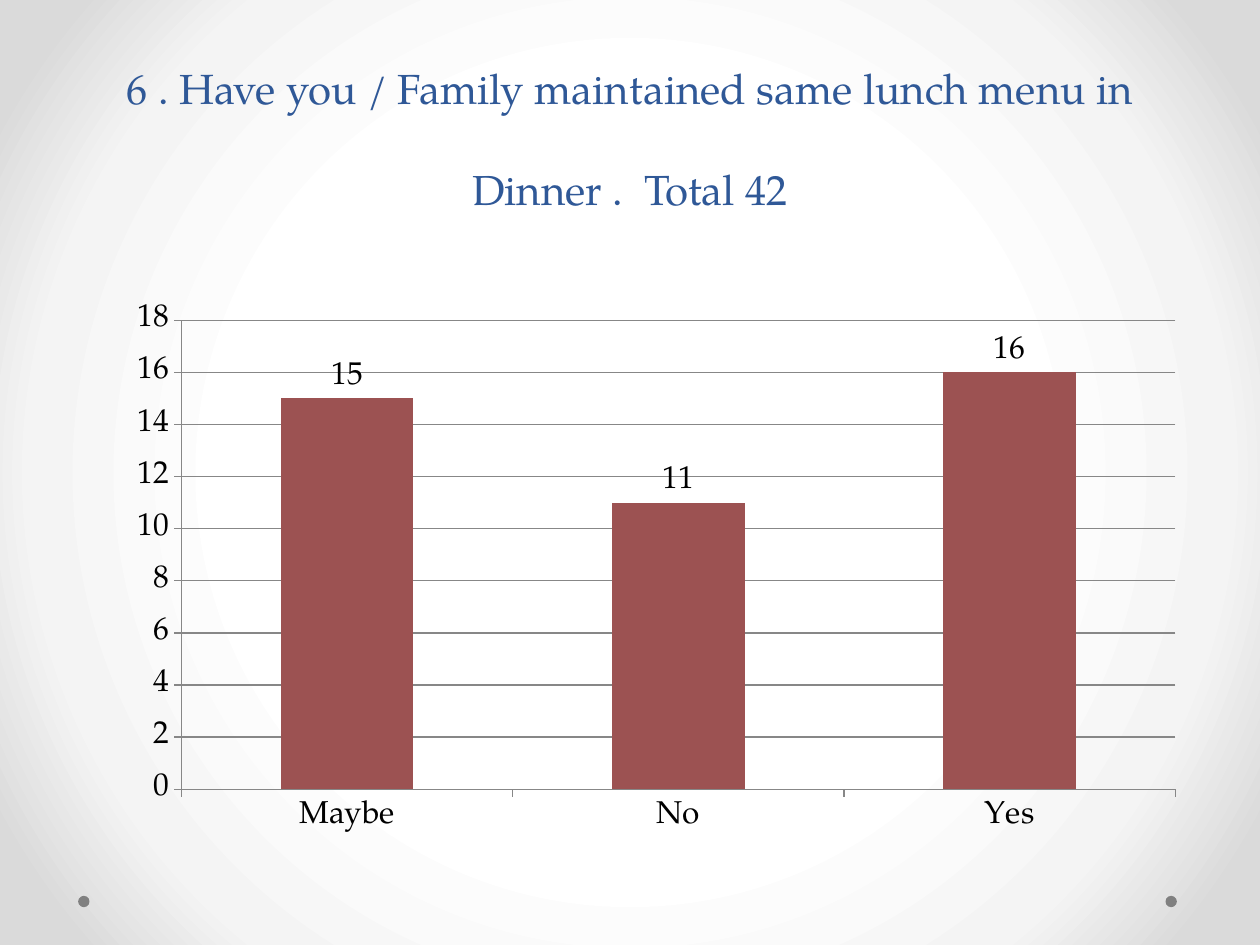
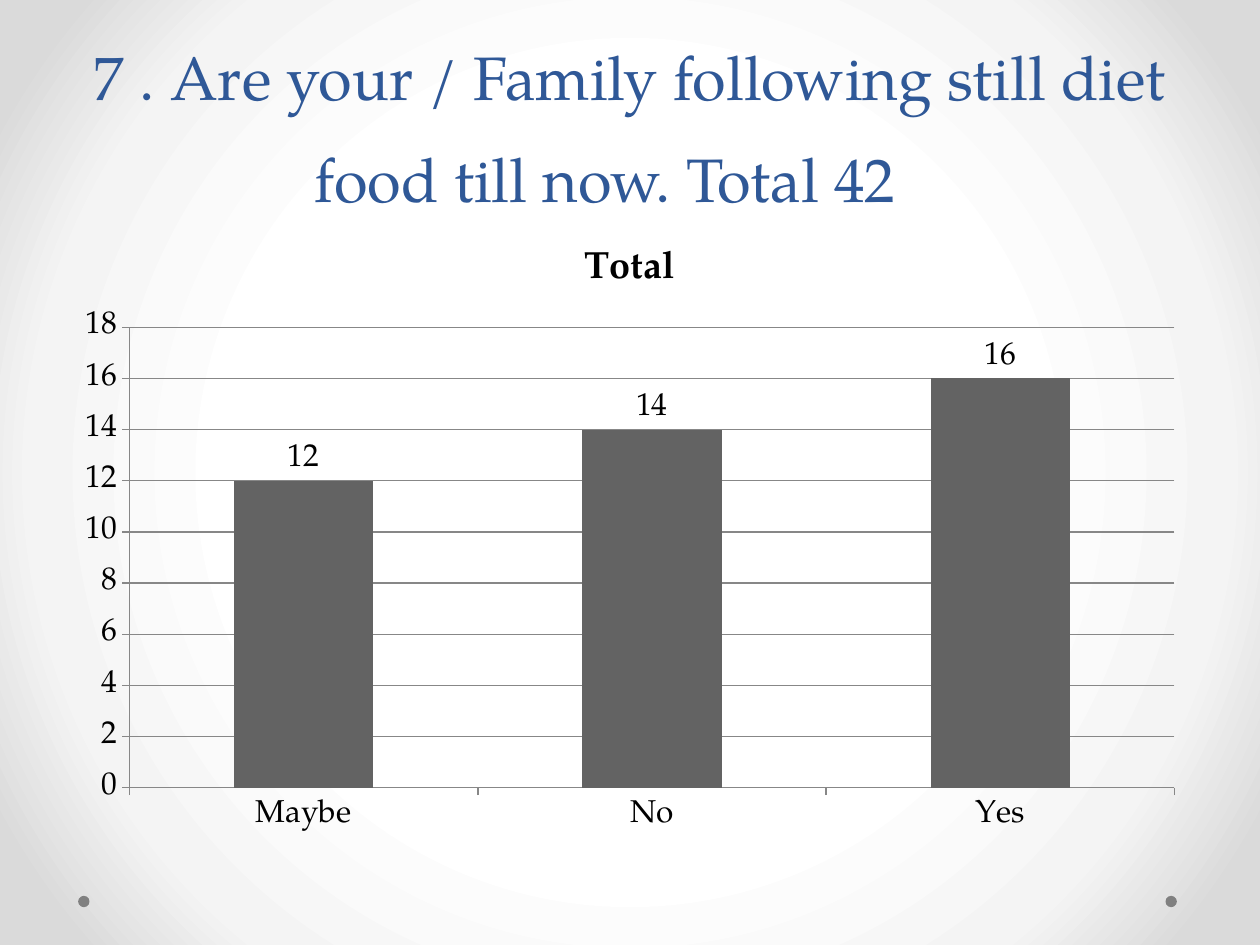
from pptx import Presentation
from pptx.chart.data import CategoryChartData
from pptx.dml.color import RGBColor
from pptx.enum.chart import XL_CHART_TYPE, XL_LABEL_POSITION, XL_TICK_MARK
from pptx.enum.shapes import MSO_SHAPE
from pptx.enum.text import MSO_ANCHOR, PP_ALIGN
from pptx.oxml import parse_xml
from pptx.oxml.ns import nsdecls, qn
from pptx.util import Inches, Pt

COLUMN = XL_CHART_TYPE.COLUMN_CLUSTERED
OUTSIDE_END = XL_LABEL_POSITION.OUTSIDE_END
TICK_OUT = XL_TICK_MARK.OUTSIDE
ELLIPSE = MSO_SHAPE.OVAL
BOTTOM = MSO_ANCHOR.BOTTOM
CENTER = PP_ALIGN.CENTER

COLORS = {
    "title": "2F5897",
    "text": "000000",
    "dot": "808080",
    "axis": "878787",
    "red": "9C5252",
    "gray": "636363",
}
BACKGROUND_STOPS = [(50, "FFFFFF"), (76, "F4F4F4"), (92, "DADADA")]
FONT = "TeX Gyre Pagella"
ANSWERS = ["Maybe", "No", "Yes"]


class Deck:
    """Holds the shared style and the current slide."""

    def __init__(self):
        """Start an empty 10 by 7.5 inch presentation."""
        self.prs = Presentation()
        self.prs.slide_width, self.prs.slide_height = Inches(10), Inches(7.5)
        self.s = None

    def color(self, name):
        """Return a palette colour."""
        return RGBColor.from_string(COLORS[name])

    def style_font(self, font, size, color, bold=False):
        """Apply the deck typeface to a font."""
        font.name, font.size, font.bold = FONT, Pt(size), bold
        font.color.rgb = self.color(color)

    def add_slide(self):
        """Add a blank slide with the background and the two footer dots."""
        self.s = self.prs.slides.add_slide(self.prs.slide_layouts[6])
        self.background()
        for left in (9.25, 0.62):
            self.dot(left, 7.11)

    def background(self):
        """Fill the background with a radial gradient."""
        self.s.background.fill.gradient()
        stops = "".join(
            f'<a:gs pos="{pos * 1000}"><a:srgbClr val="{rgb}"/></a:gs>'
            for pos, rgb in BACKGROUND_STOPS)
        radial = parse_xml(
            f'<a:gradFill {nsdecls("a")} rotWithShape="1">'
            f'<a:gsLst>{stops}</a:gsLst><a:path path="circle">'
            '<a:fillToRect l="50000" t="50000" r="50000" b="50000"/>'
            '</a:path></a:gradFill>')
        linear = self.s.element.find(".//" + qn("a:gradFill"))
        linear.getparent().replace(linear, radial)

    def dot(self, left, top):
        """Draw one small footer dot."""
        sp = self.s.shapes.add_shape(
            ELLIPSE, Inches(left), Inches(top), Inches(0.09), Inches(0.09))
        sp.shadow.inherit = False
        sp.fill.solid()
        sp.fill.fore_color.rgb = self.color("dot")
        sp.line.fill.background()

    def title(self, text, size):
        """Write the question across the top of the slide."""
        tf = self.s.shapes.add_textbox(
            Inches(0.5), 0, Inches(9), Inches(1.75)).text_frame
        tf.word_wrap = True
        tf.vertical_anchor = BOTTOM
        p = tf.paragraphs[0]
        p.add_run().text = text
        p.alignment = CENTER
        p.line_spacing = Pt(58)
        self.style_font(p.font, size, "title")

    def chart(self, box, name, values, color, heading=None):
        """Add a column chart of the answer counts."""
        data = CategoryChartData()
        data.categories = ANSWERS
        data.add_series(name, values)
        chart = self.s.shapes.add_chart(
            COLUMN, *(Inches(n) for n in box), data).chart
        self.style_font(chart.font, 18, "text")
        chart.has_legend = False
        chart.has_title = heading is not None
        if heading:
            p = chart.chart_title.text_frame.paragraphs[0]
            p.add_run().text = heading
            self.style_font(p.font, 21.6, "text", bold=True)

        for axis in (chart.category_axis, chart.value_axis):
            axis.major_tick_mark = TICK_OUT
            self.axis_line(axis.format.line)
        axis = chart.value_axis
        axis.minimum_scale, axis.maximum_scale, axis.major_unit = 0, 18, 2
        axis.has_major_gridlines = True
        self.axis_line(axis.major_gridlines.format.line)

        plot = chart.plots[0]
        plot.gap_width = 150
        plot.vary_by_categories = False
        plot.has_data_labels = True
        labels = plot.data_labels
        labels.show_value = True
        labels.position = OUTSIDE_END
        self.style_font(labels.font, 18, "text")
        fill = plot.series[0].format.fill
        fill.solid()
        fill.fore_color.rgb = self.color(color)

    def axis_line(self, line):
        """Style an axis line or gridline."""
        line.color.rgb = self.color("axis")
        line.width = Pt(0.75)


def main():
    """Build both survey slides."""
    deck = Deck()

    deck.add_slide()
    deck.title("6 . Have you / Family maintained same lunch menu in "
               "Dinner .  Total 42", 24)
    deck.chart((0.92, 2.33, 8.58, 4.37), "Series 1", (15, 11, 16), "red")

    deck.add_slide()
    deck.title("7 . Are your / Family following still diet food till now. "
               "Total 42\t", 35)
    deck.chart((0.5, 1.75, 9, 4.95), "Total", (12, 14, 16), "gray",
               heading="Total")

    deck.prs.save("out.pptx")


main()
